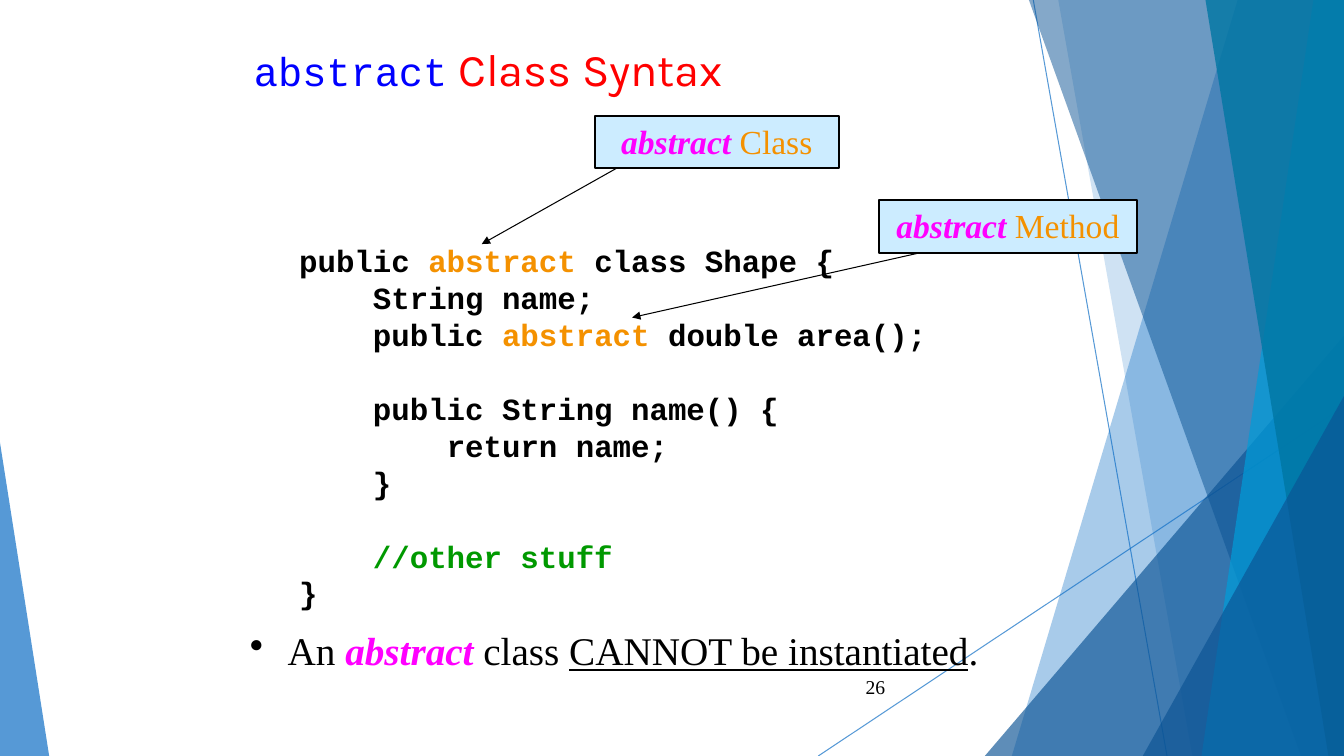
from lxml import etree
from pptx import Presentation
from pptx.dml.color import RGBColor
from pptx.enum.shapes import MSO_CONNECTOR, MSO_SHAPE
from pptx.enum.text import MSO_ANCHOR, PP_ALIGN
from pptx.oxml.ns import qn
from pptx.util import Cm, Pt

STRAIGHT = MSO_CONNECTOR.STRAIGHT
RECT, TRIANGLE = MSO_SHAPE.RECTANGLE, MSO_SHAPE.ISOSCELES_TRIANGLE
TOP, MIDDLE, BOTTOM = MSO_ANCHOR.TOP, MSO_ANCHOR.MIDDLE, MSO_ANCHOR.BOTTOM
LEFT, CENTER, RIGHT = PP_ALIGN.LEFT, PP_ALIGN.CENTER, PP_ALIGN.RIGHT

WIDTH, HEIGHT = 33.87, 19.05
MONO, SERIF, SANS = "Courier New", "Times New Roman", "Karla"
BLACK, ORANGE, MAGENTA, GREEN = "000000", "F49100", "FF00FF", "009900"
BLUE, NAVY, CYAN, TEAL = "0F6FC6", "0B5394", "009DD9", "0076A3"
CODE_SIZE, CODE_PITCH, CODE_INDENT = 22, 26.4, 1.86

# Each line of code: indent level, blank lines before it, (text, colour) runs
CODE = [
    (0, 0, [("public ", BLACK), ("abstract", ORANGE), (" class Shape {", BLACK)]),
    (1, 0, [("String name;", BLACK)]),
    (1, 0, [("public ", BLACK), ("abstract", ORANGE), (" double area();", BLACK)]),
    (1, 1, [("public String name() {", BLACK)]),
    (2, 0, [("return name;", BLACK)]),
    (1, 0, [("}", BLACK)]),
    (1, 1, [("//other stuff", GREEN)]),
    (0, 0, [("}", BLACK)]),
]


def paint(fmt, color, alpha=100):
    """Apply a solid hex colour, with opacity in percent, to a fill."""
    fmt.solid()
    fmt.fore_color.rgb = RGBColor.from_string(color)
    if alpha < 100:
        for clr in fmt._xPr.iter(qn("a:srgbClr")):
            etree.SubElement(clr, qn("a:alpha")).set("val", str(alpha * 1000))


def add_run(p, text, size, font, color, bold=False, italic=False, underline=False):
    """Add one formatted run to a paragraph."""
    r = p.add_run()
    r.text = text
    f = r.font
    f.size, f.name = Pt(size), font
    f.bold, f.italic, f.underline = bold, italic, underline
    paint(f.fill, color)


def add_text(s, x, y, w, h, anchor=TOP, align=LEFT):
    """Add a wrapping text box and return its text frame."""
    tf = s.shapes.add_textbox(Cm(x), Cm(y), Cm(w), Cm(h)).text_frame
    tf.word_wrap = True
    tf.vertical_anchor = anchor
    tf.paragraphs[0].alignment = align
    return tf


def add_line(s, x1, y1, x2, y2, color, alpha=100, arrow=False):
    """Add a thin straight line, optionally with an arrowhead at its end."""
    line = s.shapes.add_connector(STRAIGHT, Cm(x1), Cm(y1), Cm(x2), Cm(y2))
    line.line.width = Pt(0.75)
    paint(line.line.fill, color, alpha)
    if arrow:
        tail = etree.SubElement(line.line._get_or_add_ln(), qn("a:tailEnd"))
        tail.set("type", "triangle")
    etree.SubElement(line._element.spPr, qn("a:effectLst"))


def finish_facet(sp, color, alpha):
    """Give a background facet its translucent fill and no outline."""
    sp.shadow.inherit = False
    paint(sp.fill, color, alpha)
    sp.line.fill.background()


def add_band(s, top_x, bottom_x, color, alpha):
    """Add a full-height band from a slanted left edge to the slide's right edge."""
    fb = s.shapes.build_freeform(Cm(top_x), 0)
    corners = [(WIDTH, 0), (WIDTH, HEIGHT), (bottom_x, HEIGHT)]
    fb.add_line_segments([(Cm(x), Cm(y)) for x, y in corners], close=True)
    finish_facet(fb.convert_to_shape(), color, alpha)


def add_wedge(s, x, w, h, apex, color, alpha):
    """Add a right triangle standing on the bottom edge of the slide."""
    sp = s.shapes.add_shape(TRIANGLE, Cm(x), Cm(HEIGHT - h), Cm(w), Cm(h))
    sp.adjustments[0] = apex
    finish_facet(sp, color, alpha)


def add_callout(s, x, y, w, label, start, end):
    """Add a labelled box whose arrow points into the code."""
    add_line(s, *start, *end, BLACK, arrow=True)
    sp = s.shapes.add_shape(RECT, Cm(x), Cm(y), Cm(w), Cm(1.32))
    sp.shadow.inherit = False
    paint(sp.fill, "CCECFF")
    paint(sp.line.fill, BLACK)
    sp.line.width = Pt(1.5)
    tf = sp.text_frame
    tf.word_wrap, tf.vertical_anchor = True, TOP
    p = tf.paragraphs[0]
    p.alignment = CENTER
    add_run(p, "abstract ", 24, SERIF, MAGENTA, bold=True, italic=True)
    add_run(p, label, 24, SERIF, ORANGE)


def add_code(s):
    """Add the code listing with indents and gaps set by paragraph."""
    tf = add_text(s, 7.29, 5.89, 20.32, 9.65)
    tf.margin_top = Cm(0.2)
    for i, (level, gap, runs) in enumerate(CODE):
        p = tf.add_paragraph() if i else tf.paragraphs[0]
        p.line_spacing = Pt(CODE_PITCH)
        p.space_before = Pt(gap * CODE_PITCH)
        p._p.get_or_add_pPr().set("marL", str(Cm(level * CODE_INDENT)))
        for text, color in runs:
            add_run(p, text, CODE_SIZE, MONO, color, bold=True)


def add_bullet(s):
    """Add the bulleted conclusion."""
    p = add_text(s, 6.05, 15.67, 21.39, 1.45).paragraphs[0]
    p.space_before = Pt(5.6)
    pPr = p._p.get_or_add_pPr()
    pPr.set("marL", str(Cm(0.95)))
    pPr.set("indent", str(Cm(-0.95)))
    etree.SubElement(pPr, qn("a:buChar")).set("char", "•")
    add_run(p, "An ", 28, SERIF, BLACK)
    add_run(p, "abstract ", 28, SERIF, MAGENTA, bold=True, italic=True)
    add_run(p, "class ", 28, SERIF, BLACK)
    add_run(p, "CANNOT be instantiated", 28, SERIF, BLACK, underline=True)
    add_run(p, ".", 28, SERIF, BLACK)


def add_background(s):
    """Add the faceted decoration, back to front."""
    add_line(s, 26.04, 0, 29.41, HEIGHT, BLUE, 70)
    add_line(s, WIDTH, 10.24, 20.62, HEIGHT, BLUE, 70)
    add_band(s, 31.19, 25.5, BLUE, 36)
    add_band(s, 26.67, 30.05, BLUE, 20)
    add_wedge(s, 24.82, 9.05, 10.59, 1, NAVY, 66)
    add_band(s, 25.93, 32.79, NAVY, 50)
    add_band(s, 33.1, 30.28, CYAN, 70)
    add_band(s, 30.38, 33.48, TEAL, 80)
    add_wedge(s, 28.8, 5.07, 9.07, 1, NAVY, 66)
    add_wedge(s, 0, 1.24, 7.9, 0, BLUE, 70)


def main():
    """Build the slide and save it."""
    prs = Presentation()
    prs.slide_width, prs.slide_height = Cm(WIDTH), Cm(HEIGHT)
    s = prs.slides.add_slide(prs.slide_layouts[6])
    add_background(s)
    number = add_text(s, 20.02, 16.79, 2.54, 1.02, MIDDLE, RIGHT)
    add_run(number.paragraphs[0], "26", 14, SERIF, BLACK)
    title = add_text(s, 6.15, 0.84, 21.59, 1.7, BOTTOM).paragraphs[0]
    add_run(title, "abstract", 28.8, MONO, "0000FF")
    add_run(title, " Class Syntax", 32.4, SANS, "FF0000")
    add_code(s)
    add_bullet(s)
    add_callout(s, 14.99, 2.92, 6.15, "Class", (17.53, 3.12), (12.14, 6.15))
    add_callout(s, 22.15, 5.05, 6.5, "Method", (25.32, 5.89), (15.93, 8))
    prs.save("out.pptx")


main()
